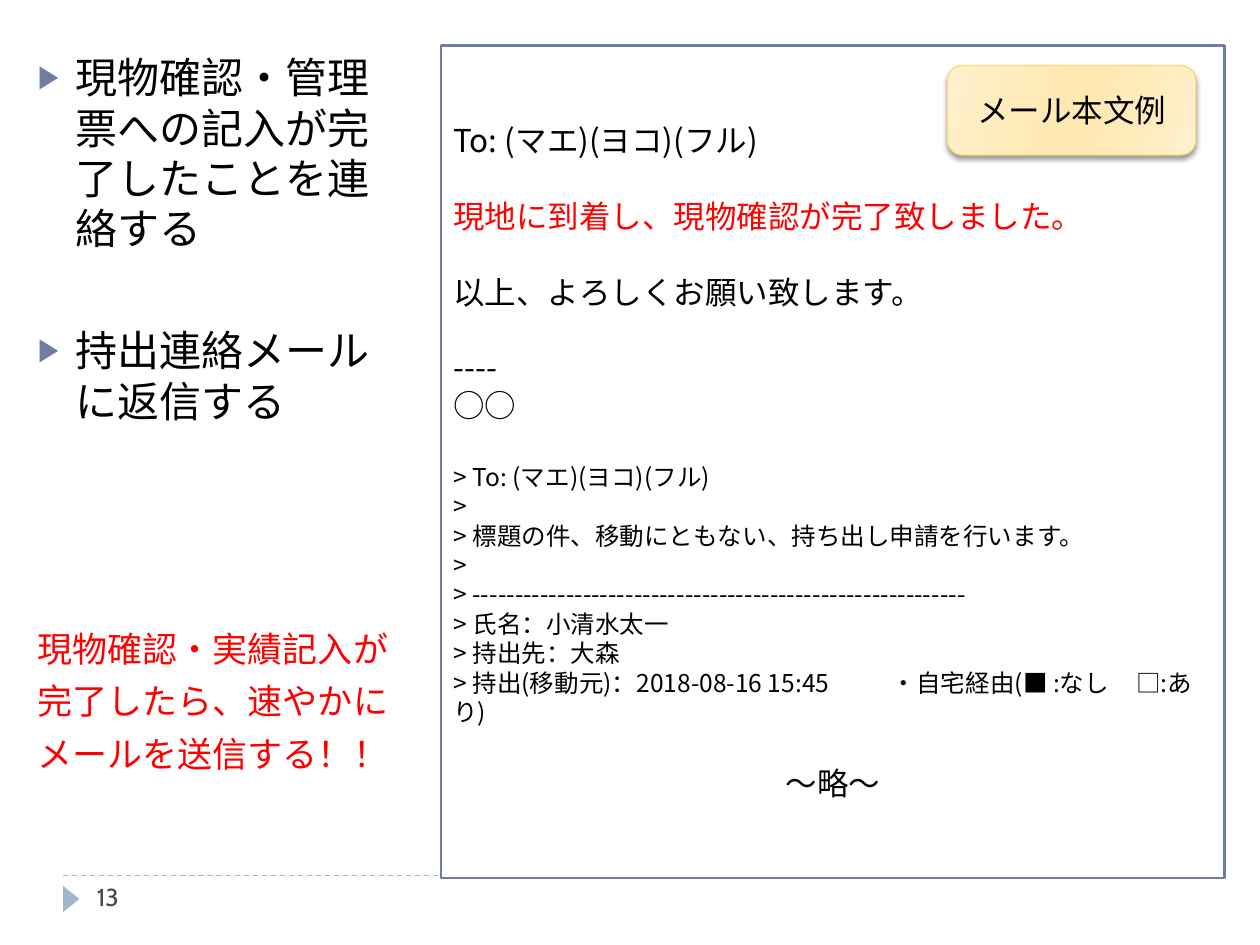
from dataclasses import dataclass

from lxml import etree
from pptx import Presentation
from pptx.dml.color import RGBColor
from pptx.enum.dml import MSO_LINE
from pptx.enum.shapes import MSO_CONNECTOR, MSO_SHAPE
from pptx.enum.text import MSO_ANCHOR, MSO_AUTO_SIZE, PP_ALIGN
from pptx.oxml import parse_xml
from pptx.oxml.ns import nsdecls, qn
from pptx.util import Inches, Pt

BLACK = RGBColor(0x00, 0x00, 0x00)
WHITE = RGBColor(0xFF, 0xFF, 0xFF)
RED = RGBColor(0xFF, 0x00, 0x00)
SLATE = RGBColor(0x46, 0x46, 0x53)
INDIGO = RGBColor(0x72, 0x7C, 0xA3)
PALE_BLUE = RGBColor(0x9F, 0xB8, 0xCD)
GOLD = RGBColor(0xFA, 0xDA, 0x7A)
LABEL_STOPS = ((0, "FFF0CF"), (30, "FFEBBA"), (45, "FFE9B3"),
               (55, "FFE9B3"), (73, "FFEBBA"), (100, "FFF0CF"))

CABIN = "Cabin"
NOTO = "Noto Sans CJK JP"
LINE_FACTOR = 1.2
GAP = 21.6

DASH = MSO_LINE.DASH
STRAIGHT = MSO_CONNECTOR.STRAIGHT
RECTANGLE = MSO_SHAPE.RECTANGLE
ROUNDED = MSO_SHAPE.ROUNDED_RECTANGLE
TRIANGLE = MSO_SHAPE.ISOSCELES_TRIANGLE
TOP, MIDDLE = MSO_ANCHOR.TOP, MSO_ANCHOR.MIDDLE
LEFT, CENTER = PP_ALIGN.LEFT, PP_ALIGN.CENTER
NO_AUTOFIT = MSO_AUTO_SIZE.NONE


@dataclass
class Line:
    """One paragraph of text; before is the space above it in points."""
    text: str
    size: float = 18
    color: RGBColor = BLACK
    before: float = 0
    font: str = NOTO
    align: PP_ALIGN = LEFT
    tabs: tuple[float, ...] = ()


STEPS = [
    Line("現物確認・管理票への記入が完了したことを連絡する", 24, before=6, font=CABIN),
    Line("持出連絡メールに返信する", 24, before=40.8, font=CABIN),
]
REMINDER = [Line(text, 20, RED, 6, CABIN) for text in (
    "現物確認・実績記入が", "完了したら、速やかに", "メールを送信する！！")]
QUOTED = [Line(text, 14) for text in (
    ">",
    "> 標題の件、移動にともない、持ち出し申請を行います。",
    ">",
    "> " + "-" * 58,
    "> 氏名：小清水太一",
    "> 持出先：大森")]
MAIL = [
    Line("To: (マエ)(ヨコ)(フル)"),
    Line("現地に到着し、現物確認が完了致しました。", color=RED, before=GAP),
    Line("以上、よろしくお願い致します。", before=GAP),
    Line("----", before=GAP),
    Line("○○"),
    Line("> To: (マエ)(ヨコ)(フル)", 14, before=GAP),
    *QUOTED,
    Line("> 持出(移動元)：2018-08-16 15:45\t・自宅経由(■ :なし\t□:あり)", 14,
         tabs=(3.48, 5.42)),
    Line("～略～", before=GAP, align=CENTER),
]


def write(shape, lines: list[Line], anchor=TOP) -> None:
    """Fill a shape with paragraphs."""
    frame = shape.text_frame
    frame.word_wrap = True
    frame.auto_size = NO_AUTOFIT
    frame.vertical_anchor = anchor
    for index, line in enumerate(lines):
        para = frame.add_paragraph() if index else frame.paragraphs[0]
        para.alignment = line.align
        para.line_spacing = Pt(line.size * LINE_FACTOR)
        para.space_before = Pt(line.before)
        para.space_after = Pt(0)
        if line.tabs:
            stops = etree.SubElement(para._p.get_or_add_pPr(), qn("a:tabLst"))
            for position in line.tabs:
                etree.SubElement(stops, qn("a:tab"), pos=str(Inches(position)), algn="l")
        span = para.add_run()
        span.text = line.text
        span.font.size = Pt(line.size)
        span.font.name = line.font
        span.font.color.rgb = line.color
        etree.SubElement(span._r.get_or_add_rPr(), qn("a:ea"), typeface=line.font)


def add_text(page, left: float, top: float, width: float, height: float,
             lines: list[Line]) -> None:
    """Add a plain text box."""
    box = page.shapes.add_textbox(*map(Inches, (left, top, width, height)))
    write(box, lines)


def add_box(page, kind, left: float, top: float, width: float, height: float,
            fill: RGBColor, outline: RGBColor | None = None, weight: float = 0.75):
    """Add a filled preset shape without shadow."""
    box = page.shapes.add_shape(kind, *map(Inches, (left, top, width, height)))
    box.shadow.inherit = False
    box.fill.solid()
    box.fill.fore_color.rgb = fill
    if outline is None:
        box.line.fill.background()
    else:
        box.line.color.rgb = outline
        box.line.width = Pt(weight)
    return box


def add_footer(page) -> None:
    """Draw the dashed rule, the marker and the page number."""
    rule = page.shapes.add_connector(
        STRAIGHT, Inches(0.5), Inches(6.95), Inches(9.5), Inches(6.95))
    rule.line.color.rgb = PALE_BLUE
    rule.line.width = Pt(0.75)
    rule.line.dash_style = DASH
    etree.SubElement(rule._element.spPr, qn("a:effectLst"))
    marker = add_box(page, TRIANGLE, 0.46, 7.07, 0.21, 0.13, PALE_BLUE)
    marker.rotation = 90
    add_text(page, 0.67, 6.95, 2.17, 0.4, [Line("13", 14, SLATE, font=CABIN)])


def add_steps(body) -> None:
    """Place the bulleted steps in the body placeholder."""
    body.left, body.top, body.width, body.height = map(Inches, (0.2, 0.36, 3.15, 2.83))
    write(body, STEPS)
    for para in body.text_frame.paragraphs:
        properties = para._p.get_or_add_pPr()
        properties.set("marL", str(Inches(0.3)))
        properties.set("indent", str(Inches(-0.3)))
        color = etree.SubElement(properties, qn("a:buClr"))
        etree.SubElement(color, qn("a:srgbClr"), val=str(INDIGO))
        etree.SubElement(properties, qn("a:buSzPct"), val="76000")
        etree.SubElement(properties, qn("a:buChar"), char="▶")


def add_label(page) -> None:
    """Add the shaded label above the mail text."""
    label = add_box(page, ROUNDED, 7.52, 0.52, 1.97, 0.71, WHITE, GOLD)
    label.fill.gradient()
    label.fill.gradient_angle = 344
    properties = label._element.spPr
    stops = properties.find(".//" + qn("a:gsLst"))
    for stop in list(stops):
        stops.remove(stop)
    for position, color in LABEL_STOPS:
        stop = etree.SubElement(stops, qn("a:gs"), pos=str(position * 1000))
        etree.SubElement(stop, qn("a:srgbClr"), val=color)
    properties.find(qn("a:effectLst")).append(parse_xml(
        f'<a:outerShdw {nsdecls("a")} blurRad="{Pt(3)}" dist="{Pt(2)}" dir="5400000" '
        'rotWithShape="0"><a:srgbClr val="000000"><a:alpha val="40000"/></a:srgbClr>'
        '</a:outerShdw>'))
    write(label, [Line("メール本文例", font=CABIN, align=CENTER)], MIDDLE)


def main() -> None:
    """Build and save the slide."""
    deck = Presentation()
    deck.slide_width, deck.slide_height = Inches(10), Inches(7.5)
    page = deck.slides.add_slide(deck.slide_layouts[1])
    title = page.shapes.title._element
    title.getparent().remove(title)
    add_footer(page)
    mail = add_box(page, RECTANGLE, 3.5, 0.36, 6.22, 6.61, WHITE, INDIGO, 1.5)
    write(mail, MAIL, MIDDLE)
    add_steps(page.placeholders[1])
    add_text(page, 0.2, 4.93, 3.23, 1.5, REMINDER)
    add_label(page)
    deck.save("out.pptx")


main()
